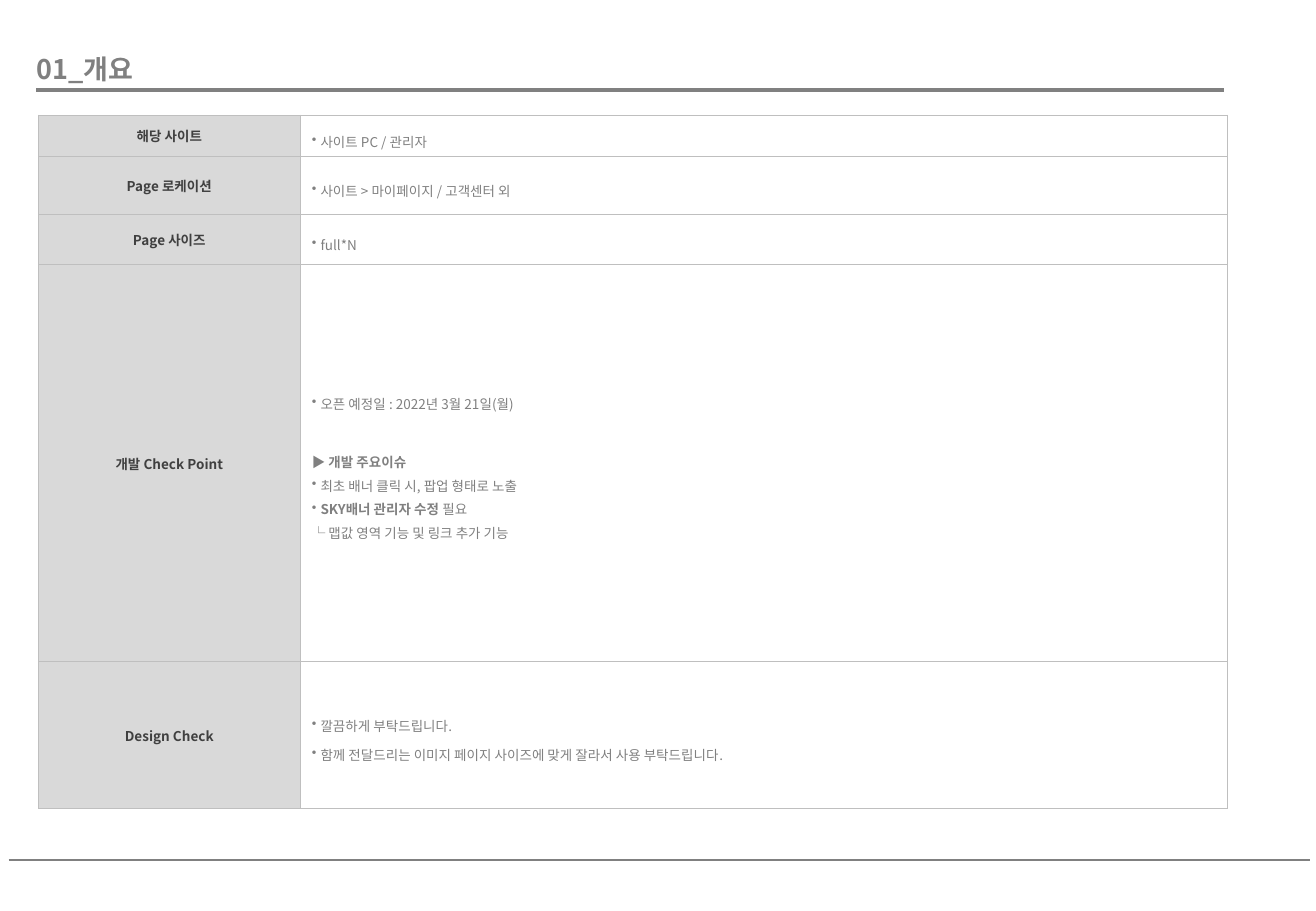
"""Builds the overview slide: a heading, two rules and a table of project notes."""
from lxml.etree import SubElement
from pptx import Presentation
from pptx.dml.color import RGBColor
from pptx.enum.shapes import MSO_CONNECTOR
from pptx.enum.text import MSO_ANCHOR, PP_ALIGN
from pptx.oxml.ns import qn
from pptx.util import Cm, Pt

TITLE = "01_개요"
PLAIN, BULLET = False, True
ROWS = [
    ("해당 사이트", 0.86, [(BULLET, 1.5, 0, [("사이트 PC / 관리자", False)])]),
    ("Page 로케이션", 1.22, [(BULLET, 1.5, 0, [("사이트 > 마이페이지 / 고객센터 외", False)])]),
    ("Page 사이즈", 1.04, [(BULLET, 1.5, 0, [("full*N", False)])]),
    ("개발 Check Point", 8.31, [
        (BULLET, 1.5, 0, [("오픈 예정일 : 2022년 3월 21일(월)", False)]),
        (PLAIN, 1.5, 17, [("▶ ", False), ("개발 주요이슈", True)]),
        (BULLET, 1.2, 0, [("최초 배너 클릭 시, 팝업 형태로 노출", False)]),
        (BULLET, 1.2, 0, [("SKY배너 관리자 수정 ", True), ("필요", False)]),
        (PLAIN, 1.2, 0, [("└ 맵값 영역 기능 및 링크 추가 기능", False)]),
    ]),
    ("Design Check", 3.07, [
        (BULLET, 1.5, 0, [("깔끔하게 부탁드립니다.", False)]),
        (BULLET, 1.5, 0, [("함께 전달드리는 이미지 페이지 사이즈에 맞게 잘라서 사용 부탁드립니다.", False)]),
    ]),
]
COLUMN_WIDTHS = [5.46, 19.38]
RULES = [(0.76, 25.58, 1.88, 2.25), (0.18, 27.38, 17.98, 1.5)]

THEME = {
    "font": "Noto Sans CJK KR",
    "title_size": 16, "body_size": 8,
    "gray": "808080", "dark": "404040", "label_fill": "D9D9D9", "border": "BFBFBF",
}
TITLE_FRAME = {"margin_left": Cm(0.3), "margin_right": Cm(0.3), "margin_top": Cm(0.15),
               "margin_bottom": Cm(0.15), "word_wrap": True}
LABEL_CELL = {"margin_left": Cm(0.15), "margin_right": Cm(0.15), "margin_top": Cm(0.13),
              "margin_bottom": Cm(0.13), "vertical_anchor": MSO_ANCHOR.MIDDLE}
NOTE_CELL = {**LABEL_CELL, "margin_left": Cm(0.25), "margin_right": Cm(0.25)}
BULLET_INDENT = Cm(0.18)


def apply_format(target, values):
    for name, value in values.items():
        setattr(target, name, value)


def add_run(paragraph, text, size, color, bold):
    run = paragraph.add_run()
    run.text = text
    apply_format(run.font, {"name": THEME["font"], "size": Pt(size), "bold": bold})
    run.font.color.rgb = RGBColor.from_string(THEME[color])
    SubElement(run.font._element, qn("a:ea"), typeface=THEME["font"])


def add_bullet(paragraph):
    properties = paragraph._p.get_or_add_pPr()
    properties.set("marL", str(BULLET_INDENT))
    properties.set("indent", str(-BULLET_INDENT))
    SubElement(properties, qn("a:buChar"), char="•")


def add_borders(cell):
    properties = cell._tc.get_or_add_tcPr()
    for side in ("lnL", "lnR", "lnT", "lnB"):
        line = SubElement(properties, qn(f"a:{side}"), w=str(Pt(0.5)))
        fill = SubElement(line, qn("a:solidFill"))
        SubElement(fill, qn("a:srgbClr"), val=THEME["border"])


def add_rule(slide, left, right, top, weight):
    rule = slide.shapes.add_connector(MSO_CONNECTOR.STRAIGHT, Cm(left), Cm(top), Cm(right), Cm(top))
    rule.line.width = Pt(weight)
    rule.line.color.rgb = RGBColor.from_string(THEME["gray"])
    SubElement(rule._element.spPr, qn("a:effectLst"))


def add_title(slide):
    frame = slide.shapes.add_textbox(Cm(0.46), Cm(0.94), Cm(10.16), Cm(0.99)).text_frame
    apply_format(frame, TITLE_FRAME)
    add_run(frame.paragraphs[0], TITLE, THEME["title_size"], "gray", True)


def fill_label(cell, label):
    apply_format(cell, LABEL_CELL)
    add_borders(cell)
    cell.fill.solid()
    cell.fill.fore_color.rgb = RGBColor.from_string(THEME["label_fill"])
    paragraph = cell.text_frame.paragraphs[0]
    paragraph.alignment = PP_ALIGN.CENTER
    add_run(paragraph, label, THEME["body_size"], "dark", True)


def fill_notes(cell, notes):
    apply_format(cell, NOTE_CELL)
    add_borders(cell)
    cell.fill.background()
    frame = cell.text_frame
    for index, (bulleted, spacing, before, runs) in enumerate(notes):
        paragraph = frame.add_paragraph() if index else frame.paragraphs[0]
        apply_format(paragraph, {"line_spacing": spacing, "space_before": Pt(before)})
        if bulleted:
            add_bullet(paragraph)
        for text, bold in runs:
            add_run(paragraph, text, THEME["body_size"], "gray", bold)


def add_overview_table(slide):
    height = sum(row[1] for row in ROWS)
    table = slide.shapes.add_table(len(ROWS), len(COLUMN_WIDTHS), Cm(0.81), Cm(2.41),
                                   Cm(sum(COLUMN_WIDTHS)), Cm(height)).table
    apply_format(table, {"first_row": False, "horz_banding": False})
    for column, width in zip(table.columns, COLUMN_WIDTHS):
        column.width = Cm(width)
    for index, (label, row_height, notes) in enumerate(ROWS):
        table.rows[index].height = Cm(row_height)
        fill_label(table.cell(index, 0), label)
        fill_notes(table.cell(index, 1), notes)


def main():
    presentation = Presentation()
    apply_format(presentation, {"slide_width": Cm(27.51), "slide_height": Cm(19.05)})
    slide = presentation.slides.add_slide(presentation.slide_layouts[6])
    for rule in RULES:
        add_rule(slide, *rule)
    add_title(slide)
    add_overview_table(slide)
    presentation.save("out.pptx")


if __name__ == "__main__":
    main()
